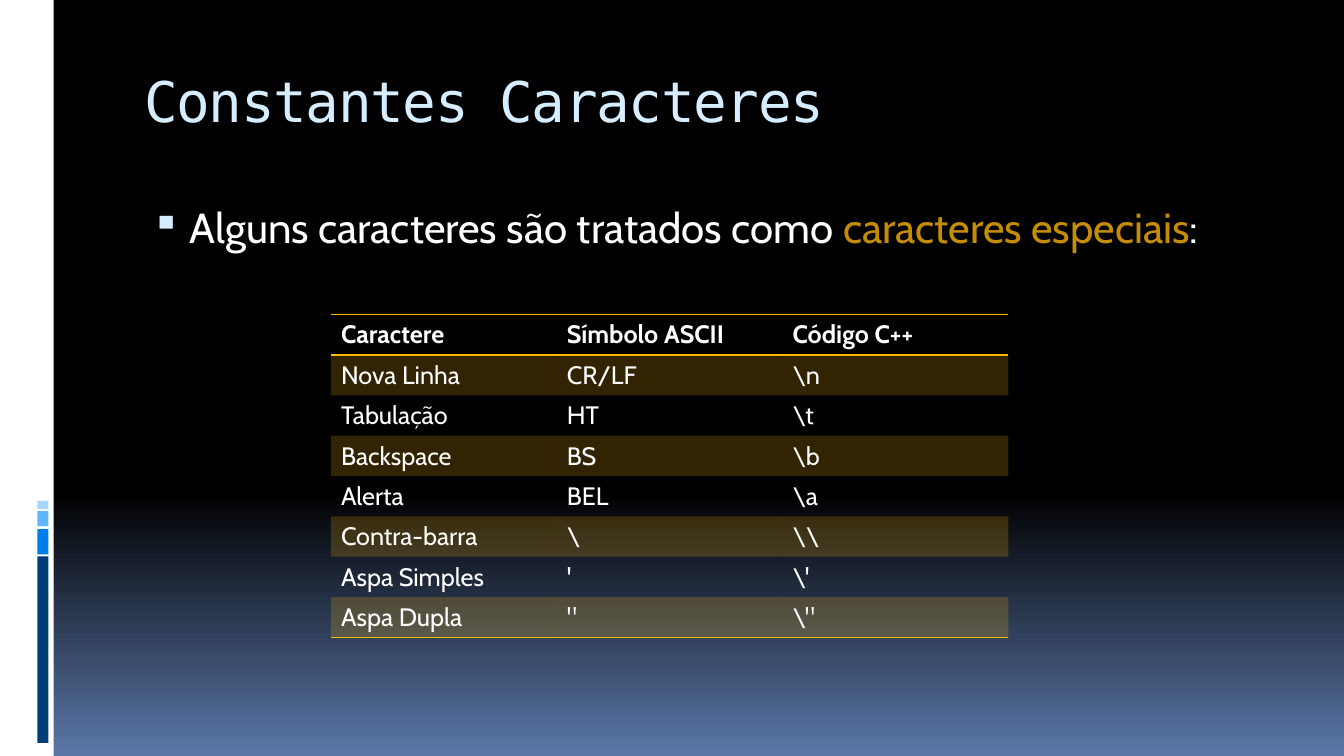
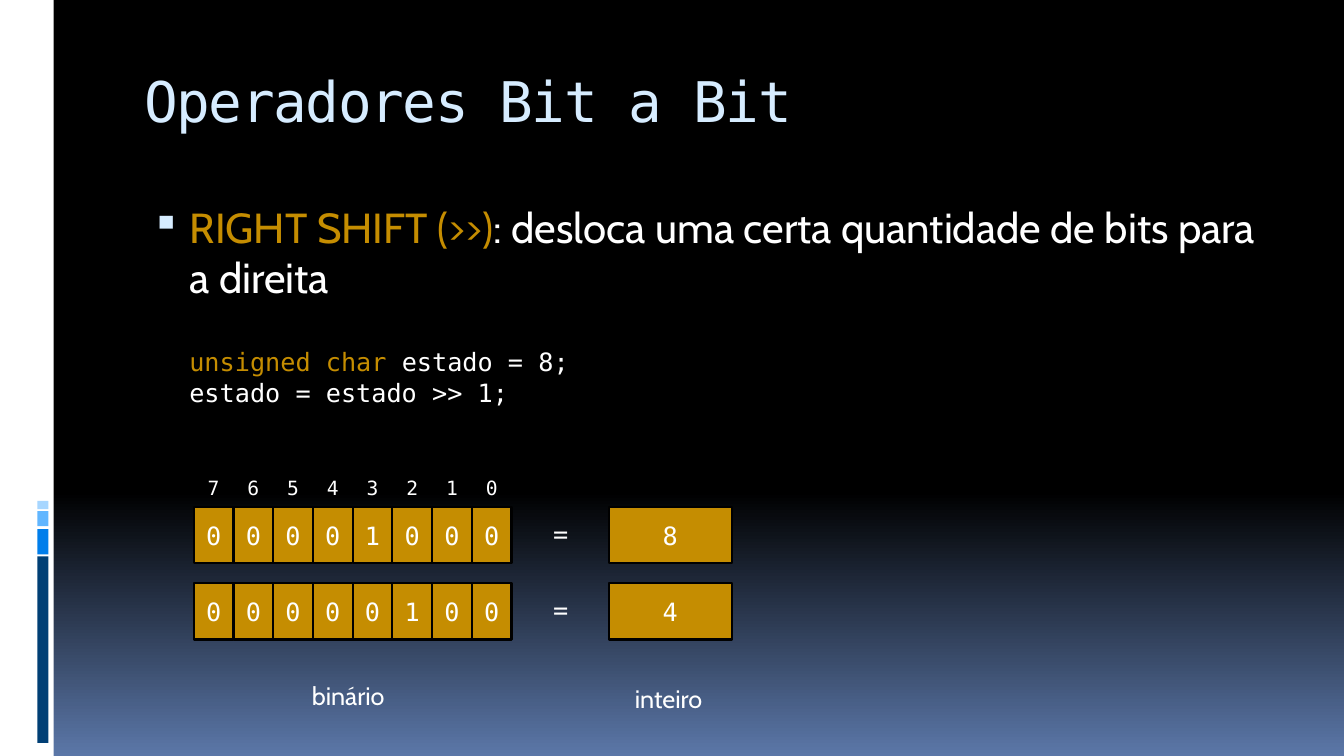
from lxml import etree
from pptx import Presentation
from pptx.dml.color import RGBColor
from pptx.enum.shapes import MSO_SHAPE
from pptx.enum.text import MSO_ANCHOR, PP_ALIGN
from pptx.oxml.ns import qn
from pptx.util import Inches, Pt

RECT = MSO_SHAPE.RECTANGLE
TOP, MIDDLE = MSO_ANCHOR.TOP, MSO_ANCHOR.MIDDLE
LEFT, CENTER = PP_ALIGN.LEFT, PP_ALIGN.CENTER

SLIDE_WIDTH, SLIDE_HEIGHT = Inches(13.33), Inches(7.5)
COLUMNS, ROWS = 160, 90
SANS, MONO = "Cabin", "DejaVu Sans Mono"
WHITE, BLACK, SKY = "FFFFFF", "000000", "D6ECFF"
OCHRE, AMBER, DUSK = "C58D01", "FEB80A", "5B77A8"
SIDE_MARKS = [
    (66.24, 22.2, "003F75"),
    (63, 3, "007EEB"),
    (60.84, 1.8, "61B6FF"),
    (59.64, 0.96, "A7D6FF"),
]
NO_TABLE_STYLE = "{2D5ABB26-0587-4C30-8999-92F81FD0307C}"


def color(value):
    return RGBColor.from_string(value)


def across(columns):
    return round(SLIDE_WIDTH * columns / COLUMNS)


def down(rows):
    return round(SLIDE_HEIGHT * rows / ROWS)


def place(x, y, width, height):
    return across(x), down(y), across(width), down(height)


def child(parent, tag, **attributes):
    return etree.SubElement(parent, qn(tag), **attributes)


class Deck:
    def __init__(self):
        self.presentation = Presentation()
        self.presentation.slide_width = SLIDE_WIDTH
        self.presentation.slide_height = SLIDE_HEIGHT
        self.slide = None

    def new_slide(self, title):
        blank = self.presentation.slide_layouts[6]
        self.slide = self.presentation.slides.add_slide(blank)
        sky = self.slide.background.fill
        sky.gradient()
        sky.gradient_angle = 270
        for stop, position, shade in zip(sky.gradient_stops, (0.65, 1), (BLACK, DUSK)):
            stop.position = position
            stop.color.rgb = color(shade)
        self.block(0, 0, 6.4, ROWS, WHITE)
        for y, height, shade in SIDE_MARKS:
            self.block(4.44, y, 1.32, height, shade)
        heading = self.text(16, 6.72, 136, 12, [[(title, SKY)]], 40, MONO)
        heading.margin_top = down(1.2)
        for run in heading.paragraphs[0].runs:
            run._r.get_or_add_rPr().set("spc", "-100")

    def block(self, x, y, width, height, fill, outline=None):
        shape = self.slide.shapes.add_shape(RECT, *place(x, y, width, height))
        shape.shadow.inherit = False
        shape.fill.solid()
        shape.fill.fore_color.rgb = color(fill)
        if outline:
            shape.line.color.rgb = color(outline)
            shape.line.width = Pt(1.5)
        else:
            shape.line.fill.background()
        return shape

    def set_lines(self, frame, lines, size, font, align=LEFT, anchor=TOP):
        frame.word_wrap = True
        frame.vertical_anchor = anchor
        for index, line in enumerate(lines):
            paragraph = frame.add_paragraph() if index else frame.paragraphs[0]
            paragraph.alignment = align
            for words, shade in line:
                run = paragraph.add_run()
                run.text = words
                run.font.size = Pt(size)
                run.font.name = font
                run.font.color.rgb = color(shade)

    def text(self, x, y, width, height, lines, size, font, align=LEFT):
        box = self.slide.shapes.add_textbox(*place(x, y, width, height))
        self.set_lines(box.text_frame, lines, size, font, align)
        return box.text_frame

    def label(self, x, y, width, words, size, font):
        self.text(x, y, width, 4.8, [[(words, WHITE)]], size, font, CENTER)

    def bullet(self, parts):
        body = self.text(16, 23.4, 136, 60, [parts], 30, SANS)
        properties = body.paragraphs[0]._p.get_or_add_pPr()
        properties.set("marL", str(Inches(0.45)))
        properties.set("indent", str(Inches(-0.38)))
        child(child(properties, "a:buClr"), "a:srgbClr", val=SKY)
        child(properties, "a:buSzPct", val="95000")
        child(properties, "a:buChar", char="▪")

    def value_box(self, x, y, width, value):
        box = self.block(x, y, width, 6.72, OCHRE, BLACK)
        self.set_lines(box.text_frame, [[(value, WHITE)]], 18, MONO, CENTER, MIDDLE)

    def border(self, cell, side):
        line = child(cell._tc.get_or_add_tcPr(), side, w=str(Pt(1)))
        child(child(line, "a:solidFill"), "a:srgbClr", val=AMBER)

    def table(self, x, y, column_width, row_height, records):
        count, fields = len(records), len(records[0])
        area = place(x, y, column_width * fields, row_height * count)
        frame = self.slide.shapes.add_table(count, fields, *area)
        for style in frame.element.iter(qn("a:tableStyleId")):
            style.text = NO_TABLE_STYLE
        grid = frame.table
        grid.first_row = grid.horz_banding = False
        for row, record in enumerate(records):
            for column, words in enumerate(record):
                cell = grid.cell(row, column)
                self.set_lines(cell.text_frame, [[(words, WHITE)]], 18, SANS)
                cell.text_frame.paragraphs[0].runs[0].font.bold = row == 0
                if row == 0:
                    self.border(cell, "a:lnT")
                if row in (0, count - 1):
                    self.border(cell, "a:lnB")
                self.band(cell, row % 2 == 1)

    def band(self, cell, tinted):
        if not tinted:
            cell.fill.background()
            return
        cell.fill.solid()
        cell.fill.fore_color.rgb = color(AMBER)
        tint = cell._tc.tcPr.find(qn("a:solidFill")).find(qn("a:srgbClr"))
        child(tint, "a:alpha", val="20000")


def special_characters(deck):
    deck.new_slide("Constantes Caracteres")
    deck.bullet([
        ("Alguns caracteres são tratados como ", WHITE),
        ("caracteres especiais", OCHRE),
        (":", WHITE),
    ])
    deck.table(39.4, 37.45, 26.88, 4.8, [
        ("Caractere", "Símbolo ASCII", "Código C++"),
        ("Nova Linha", "CR/LF", r"\n"),
        ("Tabulação", "HT", r"\t"),
        ("Backspace", "BS", r"\b"),
        ("Alerta", "BEL", r"\a"),
        ("Contra-barra", "\\", r"\\"),
        ("Aspa Simples", "'", r"\'"),
        ("Aspa Dupla", '"', r'\"'),
    ])


def right_shift(deck):
    bits_left, bits_top, bit_width, row_step = 23.06, 60.36, 4.73, 9.06
    deck.new_slide("Operadores Bit a Bit")
    deck.bullet([
        ("RIGHT SHIFT (>>)", OCHRE),
        (": desloca uma certa quantidade de bits para a direita", WHITE),
    ])
    deck.text(21.36, 40.68, 112.44, 8.52, [
        [("unsigned char", OCHRE), (" estado = 8;", WHITE)],
        [("estado = estado >> 1;", WHITE)],
    ], 18, MONO)
    for position in range(8):
        x = bits_left + position * bit_width
        deck.label(x, 56.04, bit_width, str(7 - position), 14, MONO)
    for row, number in enumerate((8, 4)):
        y = bits_top + row * row_step
        for position, bit in enumerate(f"{number:08b}"):
            deck.value_box(bits_left + position * bit_width, y, bit_width, bit)
        deck.label(64.68, y + 0.72, 4.08, "=", 18, MONO)
        deck.value_box(72.48, y, 14.64, str(number))
    deck.label(31.46, 80.4, 20, "binário", 18, SANS)
    deck.label(69.6, 80.76, 20, "inteiro", 18, SANS)


def main():
    deck = Deck()
    special_characters(deck)
    right_shift(deck)
    deck.presentation.save("out.pptx")


if __name__ == "__main__":
    main()
